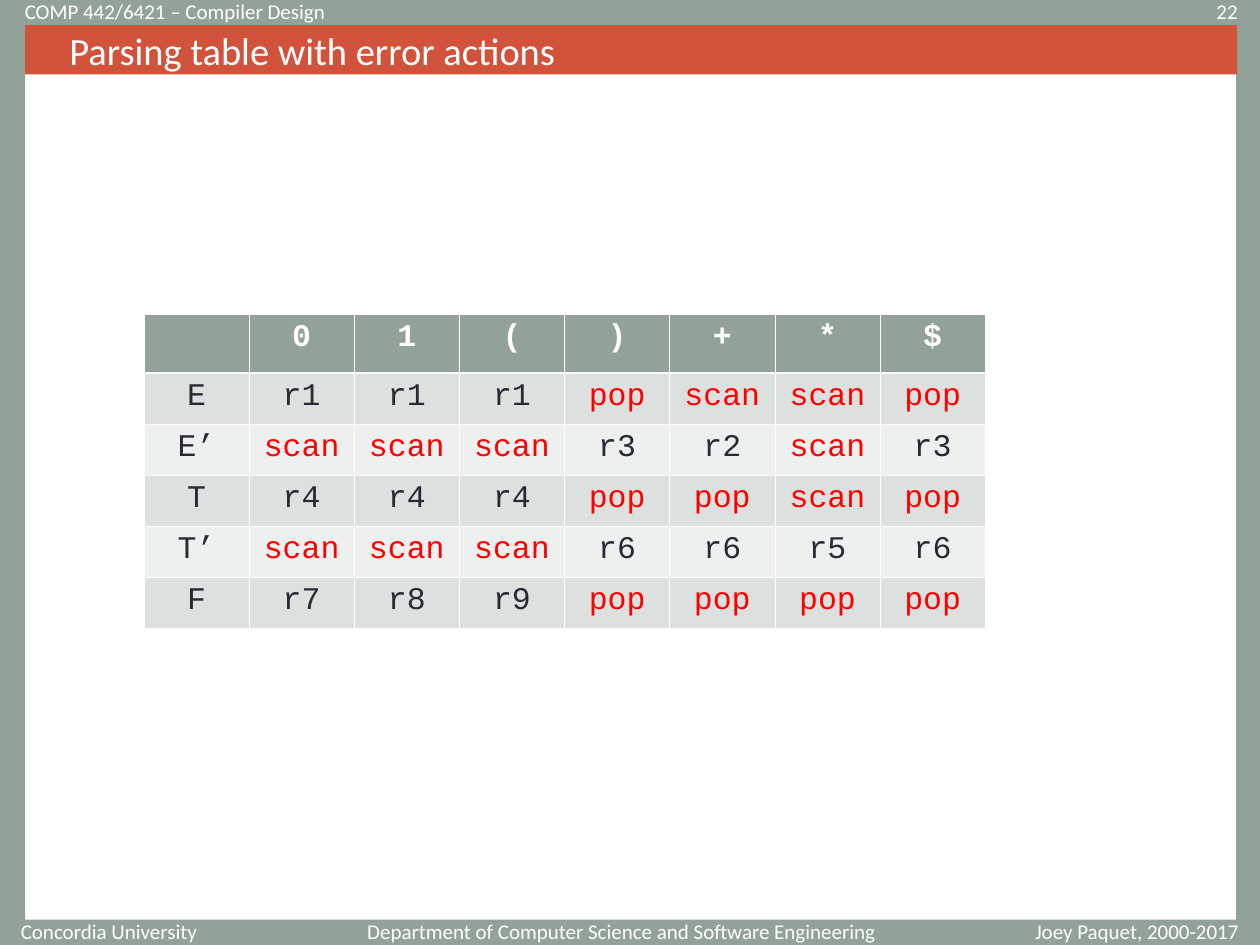
from lxml import etree
from pptx import Presentation
from pptx import util as u
from pptx.dml.color import RGBColor
from pptx.enum import shapes, text
from pptx.oxml import ns

WHITE, SAGE, BRICK, INK, RED = "FFFFFF", "93A299", "D2533C", "292934", "FF0000"
BANDS = ("DCE0DE", "EEF0EF")
LEFT, CENTER, RIGHT = text.PP_ALIGN.LEFT, text.PP_ALIGN.CENTER, text.PP_ALIGN.RIGHT

FRAME_BARS = [
    (0, 0, 25.4, 0.51),
    (0, 18.54, 25.4, 0.51),
    (0, 0, 0.51, 18.9),
    (24.92, 0.46, 0.48, 18.59),
]
TITLE = "Parsing table with error actions"
TITLE_BOX = (0.51, 0.51, 24.43, 0.99)
CAPTION_HEIGHT = 0.3
HEADER_TOP, FOOTER_TOP = 0.08, 18.62
CAPTIONS = [
    ("Concordia University ", 0.08, FOOTER_TOP, 4.24, RIGHT),
    ("Department of Computer Science and Software Engineering", 7.11, FOOTER_TOP, 10.8, RIGHT),
    ("Joey Paquet, 2000-2017", 20.29, FOOTER_TOP, 5.26, CENTER),
    ("22", 22.23, HEADER_TOP, 2.97, RIGHT),
    ("COMP 442/6421 – Compiler Design", 0.25, HEADER_TOP, 14.22, LEFT),
]
PARSING_TABLE = [
    ("", "0", "1", "(", ")", "+", "*", "$"),
    ("E", "r1", "r1", "r1", "pop", "scan", "scan", "pop"),
    ("E’", "scan", "scan", "scan", "r3", "r2", "scan", "r3"),
    ("T", "r4", "r4", "r4", "pop", "pop", "scan", "pop"),
    ("T’", "scan", "scan", "scan", "r6", "r6", "r5", "r6"),
    ("F", "r7", "r8", "r9", "pop", "pop", "pop", "pop"),
]
ERROR_ACTIONS = ("pop", "scan")
TABLE_LEFT, TABLE_TOP = 2.9, 6.33
COLUMN_WIDTH, HEADING_HEIGHT, ROW_HEIGHT = 2.12, 1.19, 1.03
THIN, THICK = 0.45, 1.47


def color(value):
    return RGBColor.from_string(value)


def paint(part, value):
    part.fill.solid()
    part.fill.fore_color.rgb = color(value)


def write(frame, words, align, **font_format):
    paragraph = frame.paragraphs[0]
    paragraph.alignment = align
    run = paragraph.add_run()
    run.text = words
    run.font.color.rgb = color(font_format.pop("color"))
    for name, value in font_format.items():
        setattr(run.font, name, value)


def add_bar(slide, box, fill):
    bar = slide.shapes.add_shape(shapes.MSO_SHAPE.RECTANGLE, *map(u.Cm, box))
    bar.shadow.inherit = False
    paint(bar, fill)
    bar.line.fill.background()
    return bar


def add_caption(slide, words, left, top, width, align):
    box = map(u.Cm, (left, top, width, CAPTION_HEIGHT))
    frame = slide.shapes.add_textbox(*box).text_frame
    frame.word_wrap = True
    frame.vertical_anchor = text.MSO_ANCHOR.MIDDLE
    write(frame, words, align, name="Calibri", size=u.Pt(12), color=WHITE)


def add_borders(cell, widths):
    properties = cell._tc.get_or_add_tcPr()
    for side, width in widths.items():
        line = etree.SubElement(properties, ns.qn(f"a:ln{side}"), w=str(u.Pt(width)))
        fill = etree.SubElement(line, ns.qn("a:solidFill"))
        etree.SubElement(fill, ns.qn("a:srgbClr"), val=WHITE)


def add_parsing_table(slide):
    rows, columns = len(PARSING_TABLE), len(PARSING_TABLE[0])
    heights = [HEADING_HEIGHT] + [ROW_HEIGHT] * (rows - 1)
    box = map(u.Cm, (TABLE_LEFT, TABLE_TOP, COLUMN_WIDTH * columns, sum(heights)))
    table = slide.shapes.add_table(rows, columns, *box).table
    for column in table.columns:
        column.width = u.Cm(COLUMN_WIDTH)
    for r, actions in enumerate(PARSING_TABLE):
        table.rows[r].height = u.Cm(heights[r])
        heading = r == 0
        for c, action in enumerate(actions):
            cell = table.cell(r, c)
            add_borders(cell, {
                "L": THIN,
                "R": THIN,
                "T": THICK if r == 1 else THIN,
                "B": THICK if heading else THIN,
            })
            paint(cell, SAGE if heading else BANDS[(r - 1) % 2])
            ink = WHITE if heading else RED if action in ERROR_ACTIONS else INK
            if action:
                write(cell.text_frame, action, CENTER, name="Courier New",
                      size=u.Pt(18), bold=heading, color=ink)


def main():
    deck = Presentation()
    deck.slide_width, deck.slide_height = u.Cm(25.4), u.Cm(19.05)
    slide = deck.slides.add_slide(deck.slide_layouts[6])
    for bar in FRAME_BARS:
        add_bar(slide, bar, SAGE)
    title = add_bar(slide, TITLE_BOX, BRICK).text_frame
    title.margin_left = u.Cm(0.89)
    title.vertical_anchor = text.MSO_ANCHOR.MIDDLE
    write(title, TITLE, LEFT, name="Calibri", size=u.Pt(22), color=WHITE)
    for caption in CAPTIONS:
        add_caption(slide, *caption)
    add_parsing_table(slide)
    deck.save("out.pptx")


if __name__ == "__main__":
    main()
